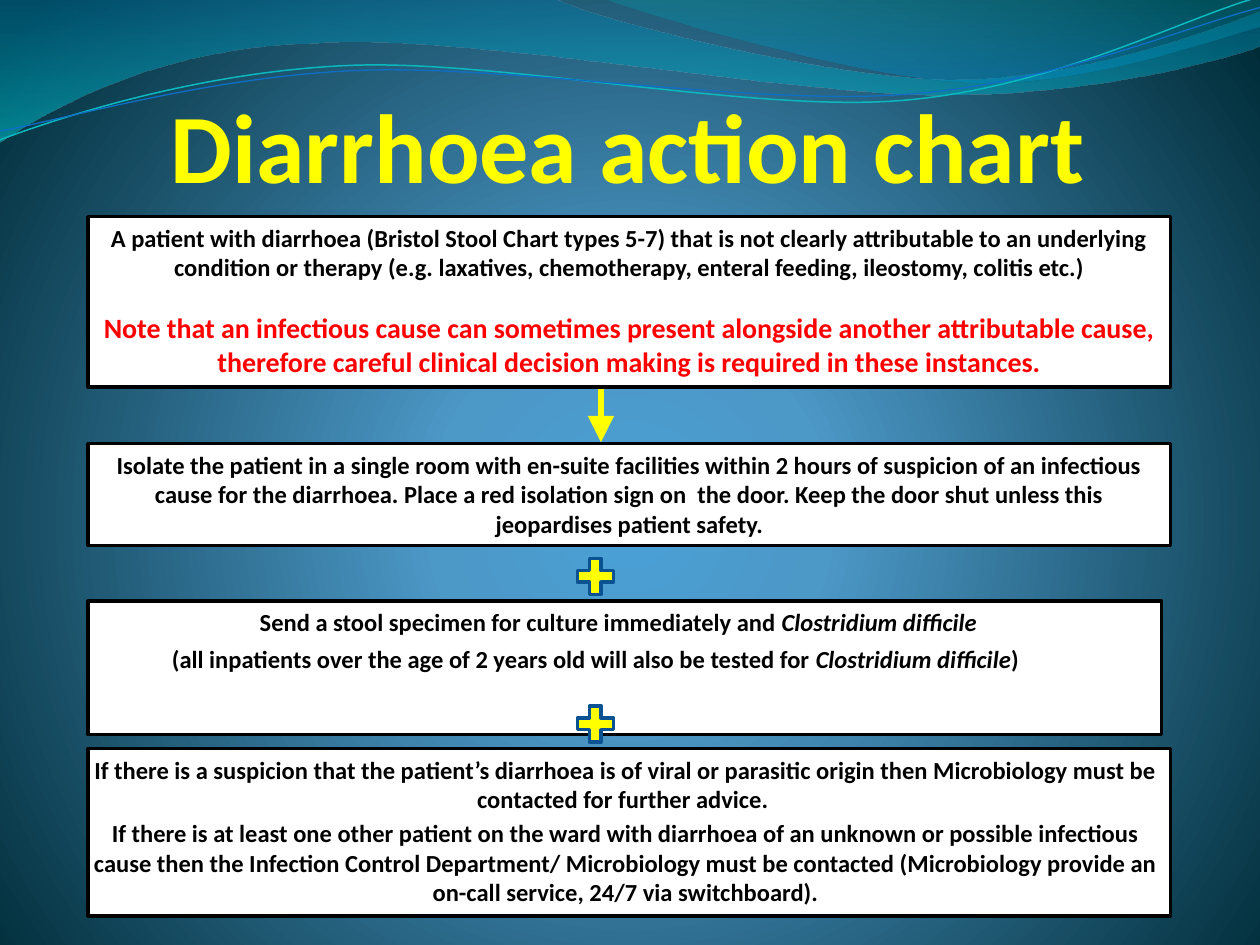
from dataclasses import dataclass

from lxml import etree
from pptx import Presentation
from pptx import util as u
from pptx.dml.color import RGBColor
from pptx.enum import shapes, text
from pptx.oxml import ns


@dataclass(frozen=True)
class Theme:
    font: str = "Calibri"
    yellow: str = "FFFF00"
    white: str = "FFFFFF"
    black: str = "000000"
    red: str = "FF0000"
    plus_line: str = "0B5292"
    title: int = 56
    body: int = 14
    note: int = 16
    border: float = 2
    arrow: float = 3


T = Theme()
LEFT, WIDTH = 0.7, 8.59
WIDE_INSETS = (0.1, 0.05, 0.1, 0.05)
TIGHT_INSETS = (0, 0.05, 0.06, 0.05)
SPACED = dict(before=2.8)

BACKGROUND = [(0, "4AA0D6", 100), (25, "4C98C7", 100), (100, "002C38", 100)]
CIRCLE = '<a:path path="circle"><a:fillToRect l="10000" t="110000" r="10000" b="100000"/></a:path>'
DOWN = '<a:lin ang="5400000" scaled="1"/>'

WAVES = [
    dict(path=[(0, 0), (4.4, -0.01),
               (4.76, 0.17, 6.64, 0.63, 7.58, 0.63), (8.53, 0.63, 9.58, 0.26, 10, 0.09),
               (10.01, 0.36),
               (9.83, 0.44, 8.7, 0.76, 7.46, 0.75), (6.22, 0.75, 3.82, 0.28, 2.57, 0.34),
               (1.29, 0.36, 0.46, 0.83, -0.01, 1.13)],
         fill=[(0, "0074A1", 45), (100, "00C6CF", 55)]),
    dict(path=[(4.79, -0.01),
               (5.09, 0.11, 6.82, 0.62, 7.69, 0.65), (8.56, 0.69, 9.61, 0.32, 10, 0.21),
               (10, 0)],
         fill=[(0, "00A1A9", 30), (80, "008BBF", 45)]),
    dict(path=[(0, 1.11),
               (0.48, 0.93, 1.58, 0.57, 2.77, 0.52), (3.95, 0.47, 5.93, 0.89, 7.13, 0.8),
               (8.33, 0.71, 9.38, 0.15, 9.98, -0.02)],
         line=("0AB8BF", 0.85)),
    dict(path=[(0, 1.04),
               (0.47, 0.96, 1.64, 0.61, 2.83, 0.56), (4.03, 0.51, 5.97, 0.84, 7.17, 0.75),
               (8.36, 0.67, 9.41, 0.21, 10, 0.06)],
         line=("0F6FC6", 0.75)),
]

TITLE = "Diarrhoea action chart"
SPECIMEN = dict(top=4.77, height=1.06, width=8.52, insets=TIGHT_INSETS, paras=[
    ([("Send a stool specimen for culture immediately and ", False),
      ("Clostridium difficile ", True)], SPACED),
    ([("(all inpatients over the age of 2 years old will also be tested for ", False),
      ("Clostridium difficile", True), (")", False)], dict(before=4.5, right=0.41)),
])
STEPS = [
    dict(top=1.72, height=1.35, paras=[
        ("A patient with diarrhoea (Bristol Stool Chart types 5-7) that is not clearly "
         "attributable to an underlying condition or therapy (e.g. laxatives, chemotherapy, "
         "enteral feeding, ileostomy, colitis etc.)", {}),
        ("Note that an infectious cause can sometimes present alongside another attributable "
         "cause, therefore careful clinical decision making is required in these instances.",
         dict(size=T.note, color=T.red, before=16.5)),
    ]),
    dict(top=3.52, height=0.81, paras=[
        ("Isolate the patient in a single room with en-suite facilities within 2 hours of "
         "suspicion of an infectious cause for the diarrhoea. Place a red isolation sign on  "
         "the door. Keep the door shut unless this jeopardises patient safety.", {}),
    ]),
    dict(top=5.94, height=1.33, insets=TIGHT_INSETS, paras=[
        ("If there is a suspicion that the patient’s diarrhoea is of viral or parasitic origin "
         "then Microbiology must be contacted for further advice. ", SPACED),
        ("If there is at least one other patient on the ward with diarrhoea of an unknown or "
         "possible infectious cause then the Infection Control Department/ Microbiology must be "
         "contacted (Microbiology provide an on-call service, 24/7 via switchboard).", SPACED),
    ]),
]
ARROW = (4.77, 2.89, 3.51)
PLUS_LEFT, PLUS_SIZE, PLUS_TOPS = 4.53, 0.39, (4.38, 5.55)


def rgb(value):
    return RGBColor.from_string(value)


def gradient(fill, holder, stops, direction):
    fill.solid()
    old = next(holder.iter(ns.qn("a:solidFill")))
    marks = "".join(
        f'<a:gs pos="{pos * 1000}"><a:srgbClr val="{color}"><a:alpha val="{alpha * 1000}"/>'
        f'</a:srgbClr></a:gs>' for pos, color, alpha in stops)
    new = etree.fromstring(f'<a:gradFill {ns.nsdecls("a")} rotWithShape="1">'
                           f'<a:gsLst>{marks}</a:gsLst>{direction}</a:gradFill>')
    old.getparent().replace(old, new)


def outline(line, color, width):
    line.color.rgb = rgb(color)
    line.width = u.Pt(width)


def bend(sp, parts):
    lines = iter(list(sp._element.iter(ns.qn("a:lnTo"))))
    for part in parts:
        first = next(lines)
        if len(part) == 6:
            curve = etree.Element(ns.qn("a:cubicBezTo"))
            first.addprevious(curve)
            for line in (first, next(lines), next(lines)):
                curve.append(line[0])
                line.getparent().remove(line)


def add_wave(s, path, fill=None, line=None):
    points = [(u.Inches(x), u.Inches(y))
              for part in path for x, y in zip(part[::2], part[1::2])]
    builder = s.shapes.build_freeform(*points[0])
    builder.add_line_segments(points[1:], close=fill is not None)
    sp = builder.convert_to_shape()
    bend(sp, path[1:])
    sp.shadow.inherit = False
    if fill:
        gradient(sp.fill, sp._element.spPr, fill, DOWN)
        sp.line.fill.background()
    else:
        sp.fill.background()
        outline(sp.line, *line)


def add_text(tf, content, first=False, size=T.body, color=T.black, before=0, right=0):
    p = tf.paragraphs[0] if first else tf.add_paragraph()
    p.alignment = text.PP_ALIGN.CENTER
    p.space_before = u.Pt(before)
    if right:
        p._p.get_or_add_pPr().set("marR", str(u.Inches(right)))
    for words, italic in ([(content, False)] if isinstance(content, str) else content):
        r = p.add_run()
        r.text = words
        r.font.name, r.font.size = T.font, u.Pt(size)
        r.font.bold, r.font.italic = True, italic
        r.font.color.rgb = rgb(color)


def frame(sp, insets, anchor):
    tf = sp.text_frame
    tf.word_wrap = True
    tf.vertical_anchor = anchor
    tf.margin_left, tf.margin_top, tf.margin_right, tf.margin_bottom = map(u.Inches, insets)
    return tf


def add_filled(s, kind, box, fill, line):
    sp = s.shapes.add_shape(kind, *map(u.Inches, box))
    sp.shadow.inherit = False
    sp.fill.solid()
    sp.fill.fore_color.rgb = rgb(fill)
    outline(sp.line, line, T.border)
    return sp


def add_step(s, top, height, paras, width=WIDTH, insets=WIDE_INSETS):
    sp = add_filled(s, shapes.MSO_SHAPE.RECTANGLE, (LEFT, top, width, height), T.white, T.black)
    tf = frame(sp, insets, text.MSO_ANCHOR.TOP)
    for i, (content, style) in enumerate(paras):
        add_text(tf, content, first=i == 0, **style)


def add_arrow(s, x, top, bottom):
    cx = s.shapes.add_connector(shapes.MSO_CONNECTOR.STRAIGHT,
                                *map(u.Inches, (x, top, x, bottom)))
    outline(cx.line, T.yellow, T.arrow)
    etree.SubElement(cx.line._get_or_add_ln(), ns.qn("a:tailEnd"),
                     type="triangle", w="lg", len="lg")
    etree.SubElement(cx._element.spPr, ns.qn("a:effectLst"))


prs = Presentation()
prs.slide_width, prs.slide_height = u.Inches(10), u.Inches(7.5)
s = prs.slides.add_slide(prs.slide_layouts[6])
gradient(s.background.fill, s._element.cSld, BACKGROUND, CIRCLE)

for wave in WAVES:
    add_wave(s, **wave)

title = s.shapes.add_textbox(*map(u.Inches, (LEFT, -0.39, WIDTH, 2)))
add_text(frame(title, (0, 0, 0.02, 0), text.MSO_ANCHOR.BOTTOM), TITLE,
         first=True, size=T.title, color=T.yellow)

add_step(s, **SPECIMEN)
add_arrow(s, *ARROW)
for step in STEPS:
    add_step(s, **step)
for top in PLUS_TOPS:
    add_filled(s, shapes.MSO_SHAPE.MATH_PLUS, (PLUS_LEFT, top, PLUS_SIZE, PLUS_SIZE),
               T.yellow, T.plus_line)

prs.save("out.pptx")
